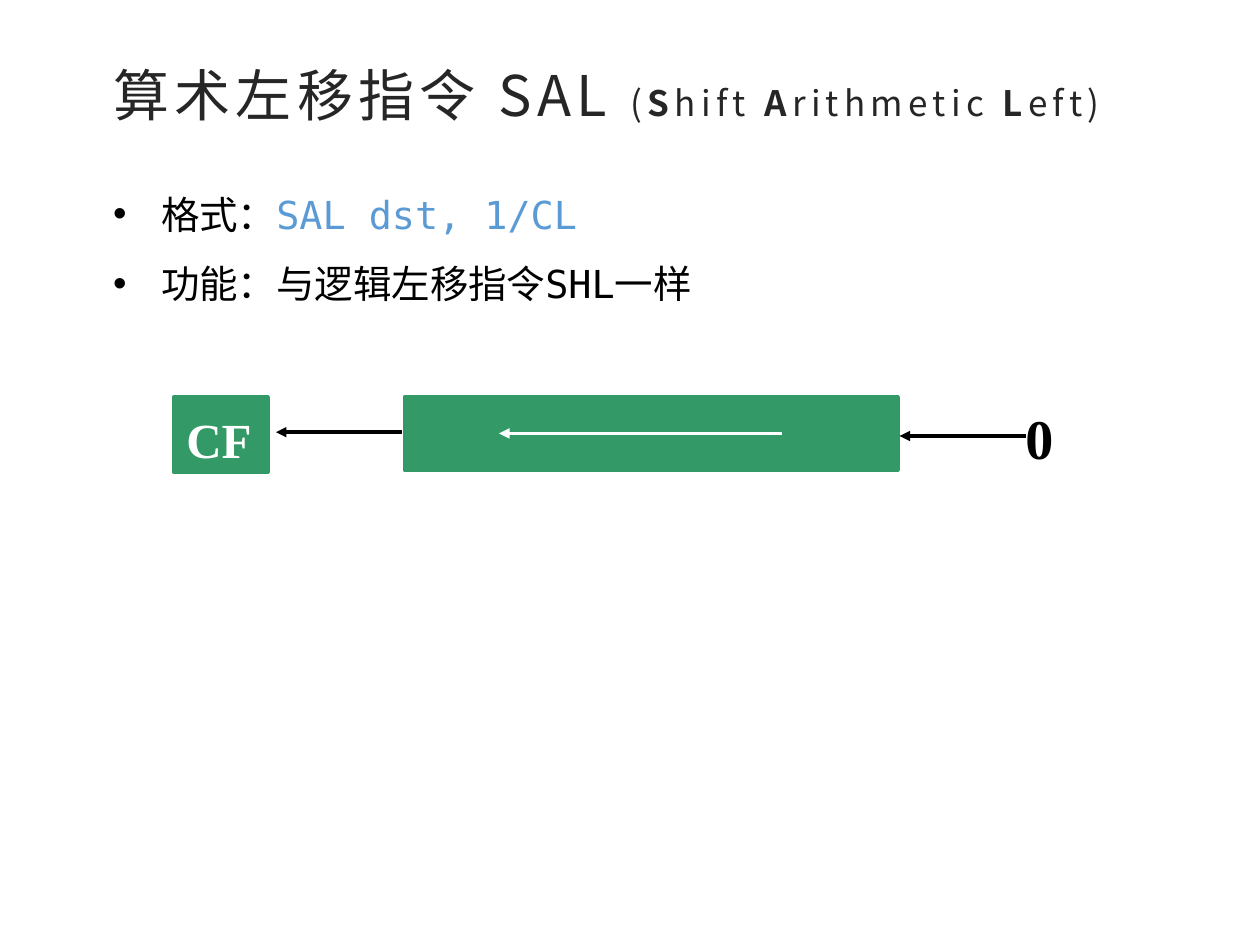
from lxml import etree
from pptx import Presentation
from pptx import util as u
from pptx.dml.color import RGBColor
from pptx.enum import shapes, text
from pptx.oxml.ns import qn

WIDTH, HEIGHT = 10, 7.5
BLACK = RGBColor(0x00, 0x00, 0x00)
WHITE = RGBColor(0xFF, 0xFF, 0xFF)
CHARCOAL = RGBColor(0x26, 0x26, 0x26)
BLUE = RGBColor(0x5B, 0x9B, 0xD5)
GREEN = RGBColor(0x33, 0x99, 0x66)
SANS, MONO, SERIF = "Noto Sans CJK SC", "DejaVu Sans Mono", "Times New Roman"

# Each run: wording and its font format
SMALL = {"size": u.Pt(20), "color": CHARCOAL, "name": SANS}
STRONG = {**SMALL, "bold": True}
TITLE = [
    ("算术左移指令 SAL ", {**SMALL, "size": u.Pt(32)}),
    ("(", SMALL),
    ("S", STRONG), ("hift ", SMALL),
    ("A", STRONG), ("rithmetic ", SMALL),
    ("L", STRONG), ("eft)", SMALL),
]
BODY = {"size": u.Pt(22), "color": BLACK, "name": MONO}
POINTS = [
    [("格式：", BODY), ("SAL dst, 1/CL", {**BODY, "color": BLUE})],
    [("功能：与逻辑左移指令SHL一样", BODY)],
]
LABEL = {"name": SERIF, "bold": True}
CARRY = [("CF", {**LABEL, "size": u.Pt(28), "color": WHITE})]
ZERO = [("0", {**LABEL, "size": u.Pt(32), "color": BLACK})]

# Left, top, width, height as shares of the slide, from inches
LEFT, TEXT_WIDTH = 0.8, 8.58
TITLE_AREA = (LEFT, 0.43, TEXT_WIDTH, 0.64)
POINTS_AREA = (LEFT, 1.28, TEXT_WIDTH, 1.71)
DIAGRAM_TOP = 3.15
CARRY_AREA = (1.38, DIAGRAM_TOP, 0.75, 0.6)
REGISTER_AREA = (3.21, DIAGRAM_TOP, 3.92, 0.58)
ZERO_AREA = (8.04, 3.1, 0.58, 0.63)
# Right end, length, height on the slide, colour; all point left
ARROWS = [
    (6.21, 2.25, 3.44, WHITE),
    (3.19, 1, 3.43, BLACK),
    (8.14, 1, 3.46, BLACK),
]
LETTER_SPACING = 3
INDENT = 0.38
LABEL_INSET = 0.1


def inches(values):
    return [u.Inches(value) for value in values]


def add_runs(paragraph, runs, spacing=0):
    for wording, formats in runs:
        run = paragraph.add_run()
        run.text = wording
        for key, value in formats.items():
            if key == "color":
                run.font.color.rgb = value
            else:
                setattr(run.font, key, value)
        properties = run.font._element
        etree.SubElement(properties, qn("a:ea"), typeface=formats["name"])
        if spacing:
            properties.set("spc", str(spacing * 100))


def add_text(slide, area):
    frame = slide.shapes.add_textbox(*inches(area)).text_frame
    frame.word_wrap = True
    return frame


def add_bullet(paragraph):
    paragraph.line_spacing = 1.5
    properties = paragraph._p.get_or_add_pPr()
    properties.set("marL", str(u.Inches(INDENT)))
    properties.set("indent", str(-u.Inches(INDENT)))
    etree.SubElement(properties, qn("a:buFont"), typeface="Arial")
    etree.SubElement(properties, qn("a:buChar"), char="•")


def add_box(slide, area):
    box = slide.shapes.add_shape(shapes.MSO_SHAPE.RECTANGLE, *inches(area))
    box.shadow.inherit = False
    box.fill.solid()
    box.fill.fore_color.rgb = GREEN
    box.line.color.rgb = GREEN
    box.line.width = u.Pt(2)
    return box.text_frame


def add_label(frame, runs):
    frame.vertical_anchor = text.MSO_ANCHOR.TOP
    frame.margin_top = u.Inches(LABEL_INSET)
    frame.paragraphs[0].alignment = text.PP_ALIGN.LEFT
    add_runs(frame.paragraphs[0], runs)


def add_left_arrow(slide, right, length, y, color):
    arrow = slide.shapes.add_connector(
        shapes.MSO_CONNECTOR.STRAIGHT, *inches((right, y, right - length, y)))
    arrow.line.color.rgb = color
    arrow.line.width = u.Pt(2)
    etree.SubElement(arrow.line._get_or_add_ln(), qn("a:tailEnd"), type="triangle")
    etree.SubElement(arrow._element.spPr, qn("a:effectLst"))


def main():
    deck = Presentation()
    deck.slide_width, deck.slide_height = inches((WIDTH, HEIGHT))
    slide = deck.slides.add_slide(deck.slide_layouts[6])

    title = add_text(slide, TITLE_AREA)
    title.vertical_anchor = text.MSO_ANCHOR.MIDDLE
    add_runs(title.paragraphs[0], TITLE, LETTER_SPACING)

    points = add_text(slide, POINTS_AREA)
    for index, runs in enumerate(POINTS):
        point = points.add_paragraph() if index else points.paragraphs[0]
        add_bullet(point)
        add_runs(point, runs)

    add_box(slide, REGISTER_AREA)
    for arrow in ARROWS:
        add_left_arrow(slide, *arrow)
    add_label(add_text(slide, ZERO_AREA), ZERO)
    add_label(add_box(slide, CARRY_AREA), CARRY)
    deck.save("out.pptx")


if __name__ == "__main__":
    main()
